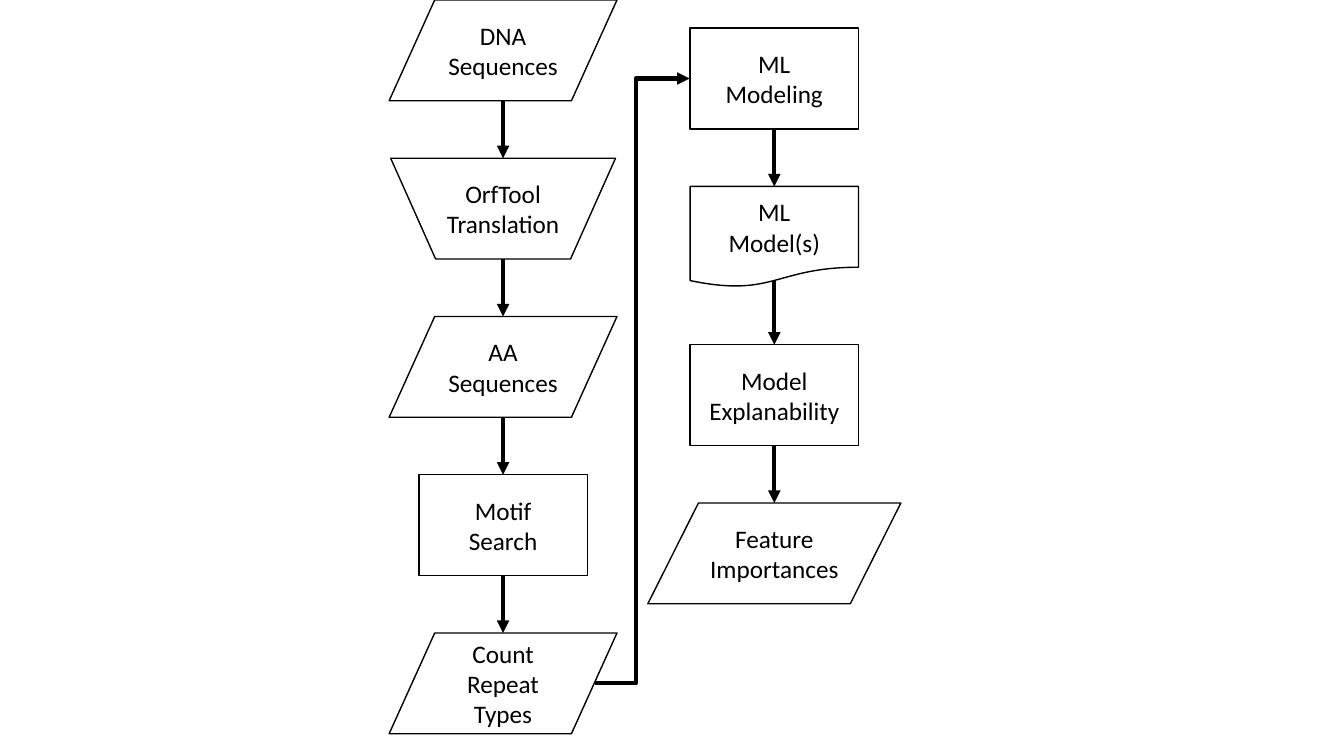
"""Build a two-column flowchart from DNA sequences to feature importances."""
from lxml import etree
from pptx import Presentation
from pptx.dml.color import RGBColor
from pptx.enum.shapes import MSO_CONNECTOR, MSO_SHAPE
from pptx.enum.text import MSO_ANCHOR, PP_ALIGN
from pptx.oxml.ns import qn
from pptx.util import Inches, Pt

DATA = MSO_SHAPE.FLOWCHART_DATA
MANUAL = MSO_SHAPE.FLOWCHART_MANUAL_OPERATION
PROCESS = MSO_SHAPE.FLOWCHART_PROCESS
DOCUMENT = MSO_SHAPE.FLOWCHART_DOCUMENT
STRAIGHT = MSO_CONNECTOR.STRAIGHT
ELBOW = MSO_CONNECTOR.ELBOW
CENTER = PP_ALIGN.CENTER
MIDDLE = MSO_ANCHOR.MIDDLE

COLORS = {"ink": "000000"}
INK = RGBColor.from_string(COLORS["ink"])
STEP_HEIGHT = 1
STEP_PITCH = 1.57
DOCUMENT_EDGE = 0.94
TOP, BOTTOM = 0, 2

COLUMNS = [
    (4.99, 0, [
        (DATA, 2.26, "DNA Sequences"),
        (MANUAL, 2.23, "OrfTool Translation"),
        (DATA, 2.26, "AA\nSequences"),
        (PROCESS, 1.67, "Motif\nSearch"),
        (DATA, 2.26, "Count Repeat Types"),
    ]),
    (7.68, 0.28, [
        (PROCESS, 1.67, "ML\nModeling"),
        (DOCUMENT, 1.67, "ML\nModel(s)"),
        (PROCESS, 1.67, "Model Explanability"),
        (DATA, 2.51, "Feature Importances"),
    ]),
]

deck = Presentation()
deck.slide_width = Inches(13.33)
deck.slide_height = Inches(7.5)
page = deck.slides.add_slide(deck.slide_layouts[6])


def add_step(kind, center, top, width, text):
    box = page.shapes.add_shape(
        kind, Inches(center - width / 2), Inches(top), Inches(width), Inches(STEP_HEIGHT))
    box.shadow.inherit = False
    box.fill.background()
    box.line.color.rgb = INK
    box.line.width = Pt(1)
    frame = box.text_frame
    frame.word_wrap = True
    frame.vertical_anchor = MIDDLE
    frame.text = text
    for para in frame.paragraphs:
        para.alignment = CENTER
        para.font.name = "Calibri"
        para.font.size = Pt(18)
        para.font.color.rgb = INK
    return box


def add_arrow(kind, start_x, start_y, end_x, end_y):
    arrow = page.shapes.add_connector(
        kind, Inches(start_x), Inches(start_y), Inches(end_x), Inches(end_y))
    arrow.line.color.rgb = INK
    arrow.line.width = Pt(3)
    properties = arrow._element.spPr
    etree.SubElement(properties.find(qn("a:ln")), qn("a:tailEnd"), type="triangle")
    etree.SubElement(properties, qn("a:effectLst"))
    return arrow


for center, first_top, steps in COLUMNS:
    previous_box = None
    for row, (kind, width, text) in enumerate(steps):
        top = first_top + row * STEP_PITCH
        box = add_step(kind, center, top, width, text)
        if previous_box is not None:
            arrow = add_arrow(STRAIGHT, center, previous_bottom, center, top)
            if previous_box.auto_shape_type == PROCESS:
                arrow.begin_connect(previous_box, BOTTOM)
            if kind == PROCESS:
                arrow.end_connect(box, TOP)
        previous_box = box
        previous_bottom = top + (DOCUMENT_EDGE if kind == DOCUMENT else STEP_HEIGHT)

column_link = add_arrow(ELBOW, 5.9, 6.78, 6.84, 0.78)
adjustments = column_link._element.spPr.find(qn("a:prstGeom")).find(qn("a:avLst"))
etree.SubElement(adjustments, qn("a:gd"), name="adj1", fmla="val 43300")

deck.save("out.pptx")
